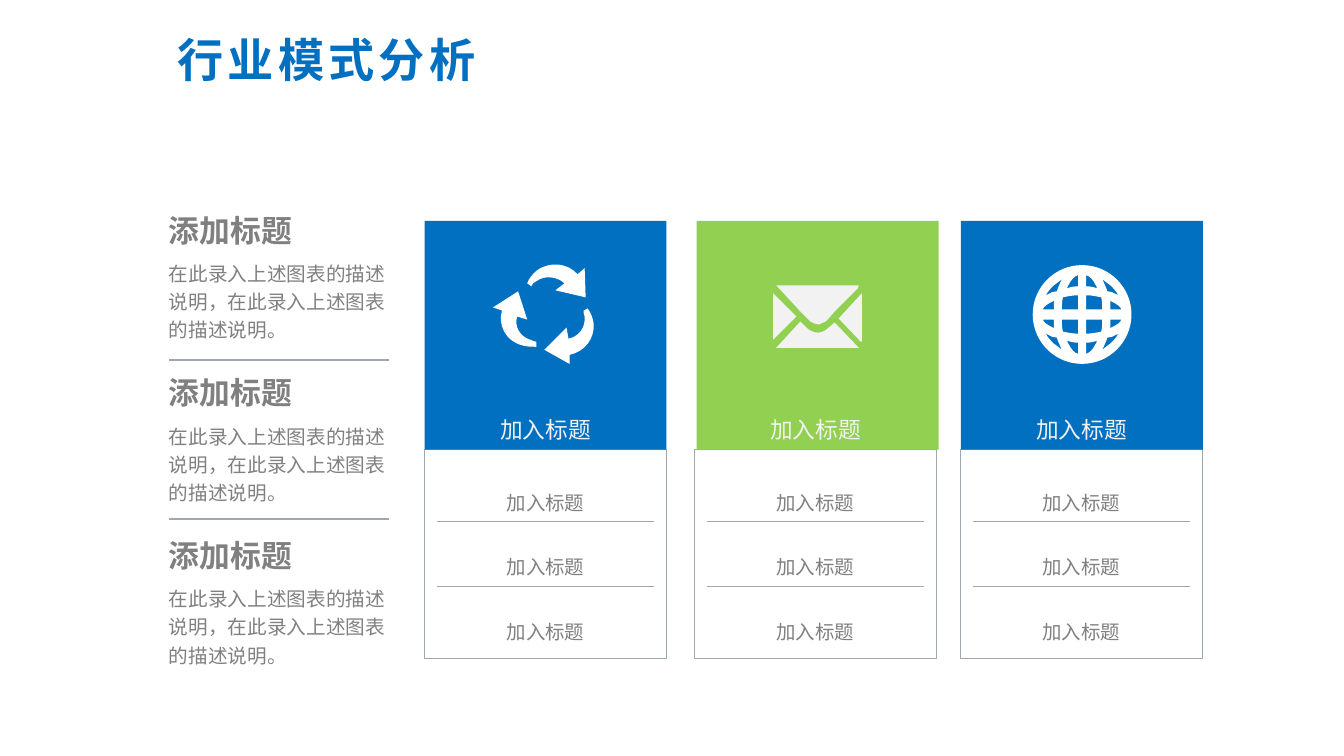
from itertools import cycle, product

from lxml import etree
from pptx import Presentation
from pptx import util as u
from pptx.dml.color import RGBColor
from pptx.enum import shapes, text
from pptx.oxml.ns import qn

BLUE = RGBColor(0x01, 0x70, 0xC1)
GREEN = RGBColor(0x92, 0xD0, 0x51)
GRAY = RGBColor(0x80, 0x80, 0x80)
RULE = RGBColor(0x9D, 0xA8, 0xB1)
PALE = RGBColor(0xF2, 0xF2, 0xF2)
WHITE = RGBColor(0xFF, 0xFF, 0xFF)

FONT = "Noto Sans CJK SC"
CELL = u.Inches(0.1)
COLUMNS, ROWS = 133.33, 75

RECYCLE = [
    [(76, 102), (51, 88), (73, 66), (75, 77), (85, 75, 92, 66, 91, 55),
     (90, 53, 90, 51, 90, 49), (94, 47), (97, 51, 99, 56, 100, 62),
     (101, 77, 91, 90, 76, 93)],
    [(0, 46), (25, 30), (34, 58), (24, 55), (21, 65, 27, 75, 37, 78),
     (39, 79, 42, 80, 43, 80), (43, 85), (39, 85, 32, 85, 27, 83),
     (12, 78, 5, 63, 9, 49)],
    [(91, 7), (84, 13), (74, 2, 57, 0, 44, 9), (39, 13, 36, 17, 34, 22),
     (38, 25), (39, 23, 40, 21, 43, 20), (51, 14, 63, 15, 71, 22),
     (62, 29), (92, 36)],
]
ENVELOPE = [
    [(0, 8), (0, 54), (23, 31)],
    [(27, 26), (37, 36), (39, 37, 42, 39, 45, 39), (46, 39, 49, 37, 52, 36),
     (55, 33), (61, 26), (84, 3), (85, 0), (3, 0), (4, 1)],
    [(61, 37), (55, 42), (52, 45, 48, 47, 45, 47), (40, 47, 36, 45, 33, 42),
     (27, 36), (4, 61), (3, 62), (85, 62), (84, 61)],
    [(87, 9), (65, 33), (87, 56), (88, 56), (88, 8)],
]
GLOBE_DISC = [
    (0, -49), (27, -49, 49, -27, 49, 0), (49, 27, 27, 49, 0, 49),
    (-27, 49, -49, 27, -49, 0), (-49, -27, -27, -49, 0, -49),
]
GLOBE_QUARTER = [
    [(4, 5), (4, 19), (10, 19, 14, 18, 19, 17), (20, 13, 20, 9, 20, 5)],
    [(4, 28), (4, 39), (8, 38, 11, 34, 13, 30), (14, 29, 14, 28, 15, 26),
     (12, 27, 8, 28, 4, 28)],
    [(39, 5), (28, 5), (28, 14), (29, 13), (35, 10, 38, 8, 39, 5)],
    [(36, 19), (34, 20), (31, 22, 28, 23, 25, 23), (24, 27, 22, 30, 21, 33),
     (20, 35), (23, 33, 26, 30, 28, 29), (31, 26, 34, 23, 36, 19)],
]


def globe():
    """Return a disc with the holes of one quarter mirrored into all four."""
    holes = [[tuple(value * sign for value, sign in zip(step, cycle(signs)))
              for step in hole]
             for signs in product((1, -1), repeat=2) for hole in GLOBE_QUARTER]
    return [GLOBE_DISC] + holes


def bend(shape, contours):
    """Join each three lines that stand for a curve into one cubic curve."""
    lines = iter(list(shape._element.iter(qn("a:lnTo"))))
    for contour in contours:
        for step in contour[1:]:
            parts = [next(lines) for _ in range(len(step) // 2)]
            if len(parts) == 3:
                curve = etree.Element(qn("a:cubicBezTo"))
                parts[0].addprevious(curve)
                for part in parts:
                    curve.append(part[0])
                    part.getparent().remove(part)


def write(frame, words, size, color, bold=False, align=None, line_spacing=None, **marks):
    """Put one formatted paragraph into a text frame."""
    para = frame.paragraphs[0]
    para.alignment = align
    para.line_spacing = line_spacing
    span = para.add_run()
    span.text = words
    span.font.size = u.Pt(size)
    span.font.bold = bold
    span.font.color.rgb = color
    span.font.name = FONT
    properties = span.font._element
    etree.SubElement(properties, qn("a:ea")).set("typeface", FONT)
    for name, value in marks.items():
        properties.set(name, str(value))


class Painter:
    """Draw elements on the current page in grid cells."""

    def __init__(self, page):
        """Keep the page to draw on."""
        self.shapes = page.shapes

    def label(self, left, top, width, height, words, size, color, inset=None,
              anchor=text.MSO_ANCHOR.TOP, **style):
        """Add a wrapping text box that grows with its text."""
        box = self.shapes.add_textbox(*(round(n * CELL) for n in (left, top, width, height)))
        frame = box.text_frame
        frame.word_wrap = True
        frame.auto_size = text.MSO_AUTO_SIZE.SHAPE_TO_FIT_TEXT
        frame.vertical_anchor = anchor
        if inset is not None:
            frame.margin_left = frame.margin_right = inset
            frame.margin_top = frame.margin_bottom = inset
        write(frame, words, size, color, **style)

    def paint(self, shape, fill=None, line=None):
        """Set fill and outline of a shape and drop its shadow."""
        shape.shadow.inherit = False
        if fill is None:
            shape.fill.background()
        else:
            shape.fill.solid()
            shape.fill.fore_color.rgb = fill
        if line is None:
            shape.line.fill.background()
        else:
            shape.line.color.rgb = line
            shape.line.width = u.Pt(1)

    def panel(self, left, top, width, height, **colors):
        """Add a rectangle."""
        box = self.shapes.add_shape(shapes.MSO_SHAPE.RECTANGLE,
                                    *(round(n * CELL) for n in (left, top, width, height)))
        self.paint(box, **colors)

    def divider(self, left, top, width):
        """Add a thin horizontal line."""
        ends = (round(n * CELL) for n in (left, top, left + width, top))
        line = self.shapes.add_connector(shapes.MSO_CONNECTOR.STRAIGHT, *ends)
        line.line.color.rgb = RULE
        line.line.width = u.Pt(1)
        etree.SubElement(line._element.spPr, qn("a:effectLst"))

    def icon(self, left, top, contours, fill):
        """Add a filled outline whose points are tenths of a cell."""
        outlines = [[((left + x / 10) * CELL, (top + y / 10) * CELL)
                     for step in contour for x, y in zip(step[::2], step[1::2])]
                    for contour in contours]
        builder = self.shapes.build_freeform(*outlines[0][0])
        for index, points in enumerate(outlines):
            if index:
                builder.move_to(*points[0])
            builder.add_line_segments(points[1:], close=True)
        shape = builder.convert_to_shape()
        bend(shape, contours)
        self.paint(shape, fill=fill)


def main():
    """Build the slide and save it."""
    deck = Presentation()
    deck.slide_width = round(COLUMNS * CELL)
    deck.slide_height = ROWS * CELL
    painter = Painter(deck.slides.add_slide(deck.slide_layouts[6]))
    center = text.PP_ALIGN.CENTER

    painter.label(13.35, 3.1, 38.1, 5.6, "行业模式分析", 33, BLUE, inset=0,
                  anchor=text.MSO_ANCHOR.MIDDLE, bold=True, align=center, spc=300)

    for top in (35.72, 51.48):
        painter.divider(16.8, top, 21.8)
    for index in range(3):
        top = 20.5 + 16.13 * index
        painter.label(15.78, top, 16.1, 4.7, "添加标题", 22, GRAY, bold=True)
        painter.label(15.78, top + 4.52, 24.8, 9.5,
                      "在此录入上述图表的描述说明，在此录入上述图表的描述说明。",
                      14, GRAY, line_spacing=1.2)

    cards = [
        (42.12, 42.12, BLUE, (48.9, 25.9, RECYCLE, WHITE)),
        (68.9, 69.12, GREEN, (76.7, 28.3, ENVELOPE, PALE)),
        (95.28, 95.33, BLUE, (107.35, 31.2, globe(), WHITE)),
    ]
    for left, header_left, color, icon in cards:
        inner = left + 1.25
        for row in range(3):
            painter.label(inner, 46.7 + 6.4 * row, 21.5, 3.7, "加入标题", 24, GRAY,
                          align=center, baseline=-3000)
        painter.panel(left, 44.6, 24, 20.72, line=RULE)
        for row in range(2):
            painter.divider(inner, 51.73 + 6.45 * row, 21.5)
        painter.panel(header_left, 21.92, 24, 22.7, fill=color)
        painter.icon(*icon)
        painter.label(inner, 39, 21.5, 4.2, "加入标题", 28, PALE,
                      align=center, baseline=-3000)

    deck.save("out.pptx")


if __name__ == "__main__":
    main()
